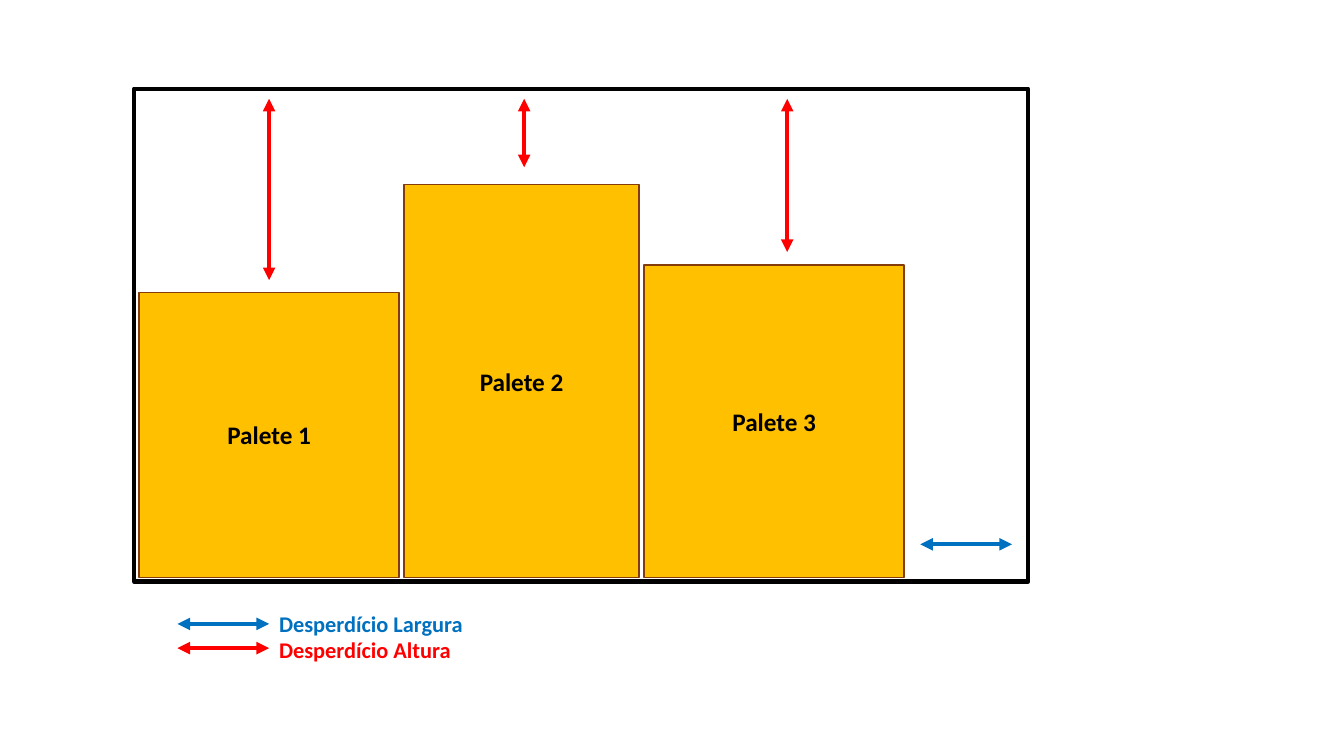
from dataclasses import dataclass

from lxml import etree
from pptx import Presentation
from pptx.dml.color import RGBColor
from pptx.enum.shapes import MSO_CONNECTOR, MSO_SHAPE
from pptx.enum.text import MSO_ANCHOR, MSO_AUTO_SIZE, PP_ALIGN
from pptx.oxml.ns import qn
from pptx.shapes.autoshape import Shape
from pptx.slide import Slide
from pptx.text.text import _Paragraph
from pptx.util import Inches, Pt

RECT = MSO_SHAPE.RECTANGLE
STRAIGHT = MSO_CONNECTOR.STRAIGHT
MIDDLE = MSO_ANCHOR.MIDDLE
CENTER = PP_ALIGN.CENTER
GROW = MSO_AUTO_SIZE.SHAPE_TO_FIT_TEXT

CELL = Inches(0.1)
COLS, ROWS = 133.33, 75


@dataclass(frozen=True)
class Theme:
    font: str = "Calibri"
    white: str = "FFFFFF"
    black: str = "000000"
    gold: str = "FFC000"
    brown: str = "843C0B"
    red: str = "FF0000"
    blue: str = "0070C0"
    label: float = 18
    legend: float = 16
    thick: float = 3
    thin: float = 1


@dataclass(frozen=True)
class Box:
    left: float
    top: float
    width: float
    height: float


@dataclass(frozen=True)
class Pallet:
    name: str
    width: float
    height: float
    arrow: float
    space: float


@dataclass(frozen=True)
class Key:
    text: str
    color: str
    row: float


THEME = Theme()
FRAME = Box(13.3, 8.8, 88.7, 48.9)
LEGEND = Box(26.7, 60, 30.1, 6.4)
START, FLOOR, GAP = 13.8, 57.3, 0.5
ARROW_TOP = 9.8
ARROW_WIDTH = 9.1
WASTE_LEFT, WASTE_ROW = 91.3, 54
PALLETS = (
    Pallet("Palete 1", 25.8, 28.3, 26.7, 1.2),
    Pallet("Palete 2", 23.3, 39, 52, 1.7),
    Pallet("Palete 3", 25.8, 31, 78.1, 1.3),
)
KEYS = (
    Key("Desperdício Largura", THEME.blue, 61.9),
    Key("Desperdício Altura", THEME.red, 64.3),
)


def grid(*cells: float) -> list[int]:
    return [round(cell * CELL) for cell in cells]


def style(para: _Paragraph, size: float, color: str) -> None:
    for run in para.runs:
        run.font.name = THEME.font
        run.font.size = Pt(size)
        run.font.bold = True
        run.font.color.rgb = RGBColor.from_string(color)


def draw_box(slide: Slide, box: Box, fill: str, edge: str, weight: float) -> Shape:
    shape = slide.shapes.add_shape(
        RECT, *grid(box.left, box.top, box.width, box.height)
    )
    shape.shadow.inherit = False
    shape.fill.solid()
    shape.fill.fore_color.rgb = RGBColor.from_string(fill)
    shape.line.color.rgb = RGBColor.from_string(edge)
    shape.line.width = Pt(weight)
    return shape


def draw_arrow(
    slide: Slide, left: float, top: float, right: float, base: float, color: str
) -> None:
    arrow = slide.shapes.add_connector(STRAIGHT, *grid(left, top, right, base))
    arrow.line.color.rgb = RGBColor.from_string(color)
    arrow.line.width = Pt(THEME.thick)
    line = arrow.line._get_or_add_ln()
    for end in ("a:headEnd", "a:tailEnd"):
        etree.SubElement(line, qn(end), type="triangle")
    etree.SubElement(arrow._element.spPr, qn("a:effectLst"))


def draw_pallets(slide: Slide) -> None:
    left = START
    for pallet in PALLETS:
        top = FLOOR - pallet.height
        box = Box(left, top, pallet.width, pallet.height)
        shape = draw_box(slide, box, THEME.gold, THEME.brown, THEME.thin)
        frame = shape.text_frame
        frame.text = pallet.name
        frame.vertical_anchor = MIDDLE
        para = frame.paragraphs[0]
        para.alignment = CENTER
        style(para, THEME.label, THEME.black)
        draw_arrow(
            slide, pallet.arrow, ARROW_TOP, pallet.arrow, top - pallet.space, THEME.red
        )
        left += pallet.width + GAP


def draw_legend(slide: Slide) -> None:
    text = slide.shapes.add_textbox(
        *grid(LEGEND.left, LEGEND.top, LEGEND.width, LEGEND.height)
    )
    frame = text.text_frame
    frame.word_wrap = True
    frame.auto_size = GROW
    frame.text = "\n".join(key.text for key in KEYS)
    for key, para in zip(KEYS, frame.paragraphs):
        style(para, THEME.legend, key.color)
        draw_arrow(
            slide, LEGEND.left - ARROW_WIDTH, key.row, LEGEND.left, key.row, key.color
        )


def main() -> None:
    deck = Presentation()
    deck.slide_width, deck.slide_height = grid(COLS, ROWS)
    slide = deck.slides.add_slide(deck.slide_layouts[6])
    draw_box(slide, FRAME, THEME.white, THEME.black, THEME.thick)
    draw_pallets(slide)
    draw_arrow(
        slide, WASTE_LEFT, WASTE_ROW, WASTE_LEFT + ARROW_WIDTH, WASTE_ROW, THEME.blue
    )
    draw_legend(slide)
    deck.save("out.pptx")


if __name__ == "__main__":
    main()
